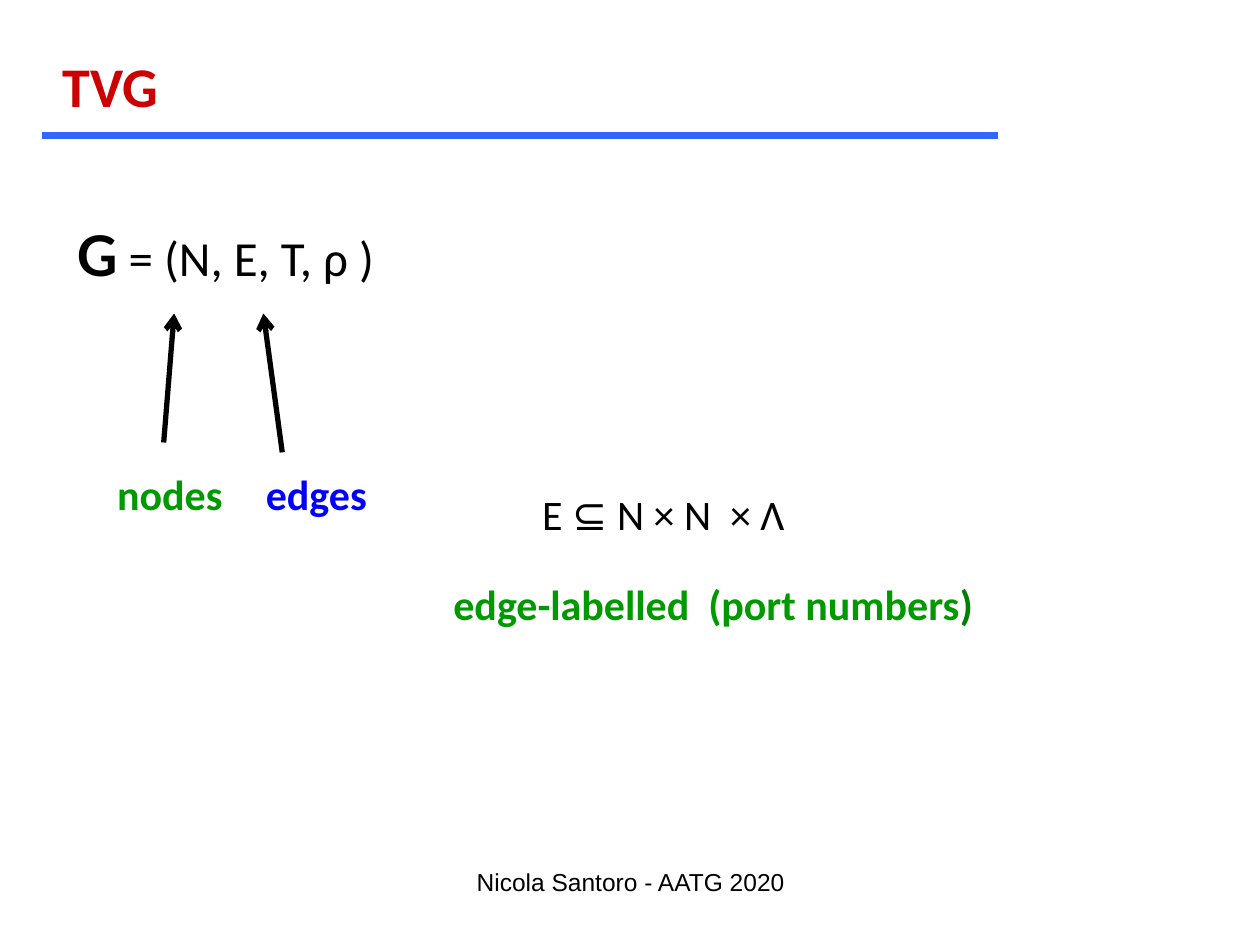
from lxml.etree import SubElement
from pptx import Presentation
from pptx.dml.color import RGBColor
from pptx.enum.shapes import MSO_CONNECTOR as CONN
from pptx.enum.text import MSO_AUTO_SIZE as AUTO, PP_ALIGN as ALIGN
from pptx.oxml.ns import qn
from pptx.util import Cm, Pt

BLACK, GREEN, DARK_GREEN = "000000", "009900", "008000"
RED, BLUE, RULE_BLUE = "CC0000", "0000FF", "3366FF"


def rgb(color):
    return RGBColor.from_string(color)


def add_text(box, text, size, color, bold=False, font="Calibri", wrap=True):
    """Add a one-paragraph text box; box is left, top, width, height in cm."""
    tb = s.shapes.add_textbox(*map(Cm, box))
    tf = tb.text_frame
    tf.word_wrap = wrap
    tf.auto_size = AUTO.SHAPE_TO_FIT_TEXT
    p = tf.paragraphs[0]
    p.add_run().text = text
    p.font.name, p.font.size, p.font.bold = font, Pt(size), bold
    p.font.color.rgb = rgb(color)
    return p


prs = Presentation()
prs.slide_width, prs.slide_height = Cm(25.4), Cm(19.05)
s = prs.slides.add_slide(prs.slide_layouts[6])

# Title rule and the arrows from the labels up to N and E
lines = [
    ((0.84, 2.74, 20.12, 2.74), RULE_BLUE, 4, False),
    ((3.3, 8.92, 3.51, 6.32), BLACK, 3, True),
    ((5.69, 9.12, 5.31, 6.32), BLACK, 3, True),
]
for ends, color, width, arrow in lines:
    cn = s.shapes.add_connector(CONN.STRAIGHT, *map(Cm, ends))
    cn.line.color.rgb = rgb(color)
    cn.line.width = Pt(width)
    if arrow:
        SubElement(cn.line._get_or_add_ln(), qn("a:tailEnd"), type="arrow")
    SubElement(cn._element.spPr, qn("a:effectLst"))

add_text((1.02, 0.91, 2.49, 1.63), "TVG", 32, RED, bold=True, wrap=False)

# Definition of the graph
p = add_text((1.3, 4.32, 21.74, 1.63), "G", 28, BLACK)
symbol = p.runs[0].font
symbol.name, symbol.size, symbol.bold = "Lato", Pt(32), True
p.add_run().text = " = (N, E, T, ρ )"

add_text((2.11, 9.32, 3.99, 1.27), "nodes", 24, GREEN, bold=True)
add_text((5.11, 9.32, 2.79, 1.27), "edges", 24, BLUE, bold=True)

# Edge set and its labelling
add_text((10.49, 9.73, 5.77, 1.27), " E ⊆ N × N  × Λ", 24, BLACK, wrap=False)
p = add_text((8.89, 11.53, 11.4, 1.27), "edge-labelled  (port numbers", 24, GREEN,
             bold=True)
r = p.add_run()
r.text = ")"
r.font.color.rgb = rgb(DARK_GREEN)

footer = add_text((8.69, 17.35, 8.05, 1.27), "Nicola Santoro - AATG 2020", 14,
                  BLACK, font="Arial")
footer.alignment = ALIGN.CENTER

prs.save("out.pptx")
